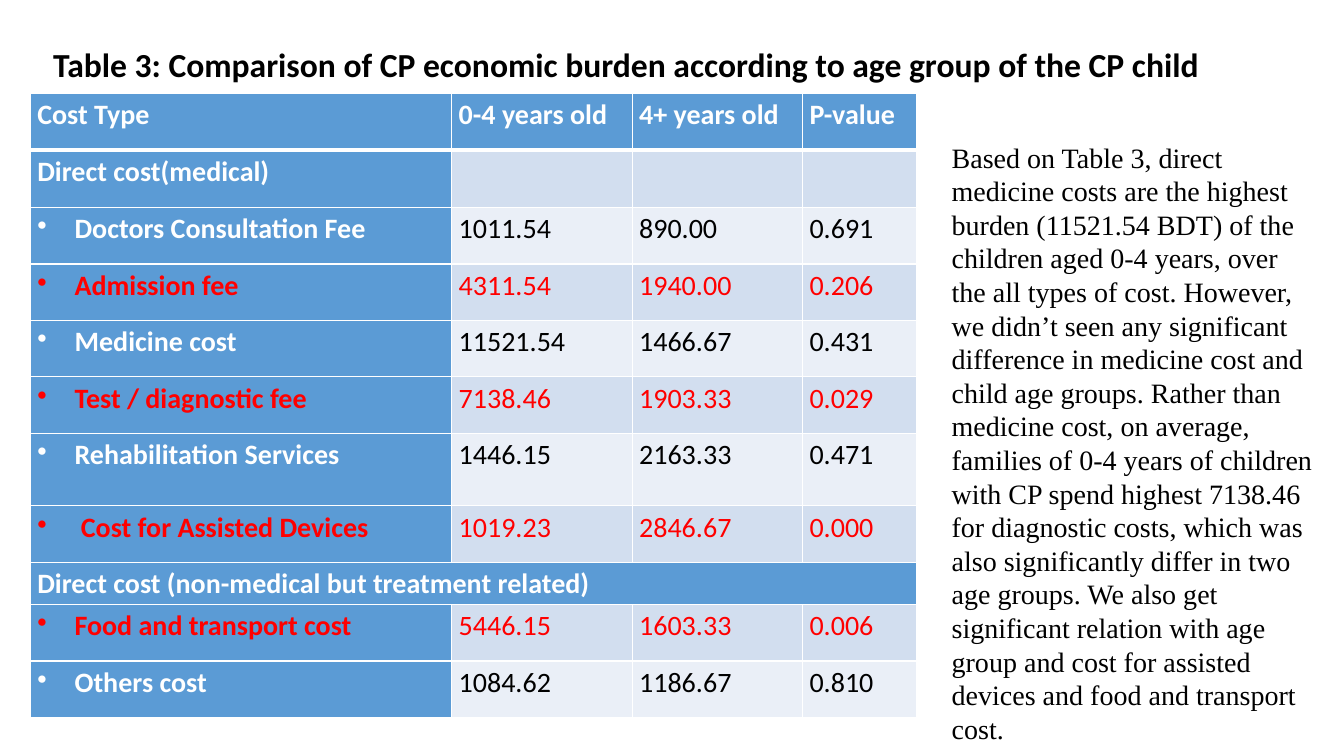
from dataclasses import dataclass

import pptx
import pptx.dml.color
import pptx.enum.text
import pptx.oxml
import pptx.oxml.ns
import pptx.util
from pptx.util import Inches


@dataclass(frozen=True)
class Theme:
    black: str = "000000"
    white: str = "FFFFFF"
    red: str = "FF0000"
    blue: str = "5B9BD5"
    dark_band: str = "D2DEEF"
    light_band: str = "EAEFF7"
    sans: str = "Calibri"
    serif: str = "Times New Roman"
    title_size: int = 24
    body_size: int = 20


THEME = Theme()

TITLE = "Table 3: Comparison of CP economic burden according to age group of the CP child"
COMMENTARY = (
    "Based on Table 3, direct medicine costs are the highest burden (11521.54 BDT) of the "
    "children aged 0-4 years, over the all types of cost. However, we didn’t seen any "
    "significant difference in medicine cost and child age groups. Rather than medicine cost, "
    "on average, families of 0-4 years of children with CP spend highest 7138.46 for "
    "diagnostic costs, which was also significantly differ in two age groups. We also get "
    "significant relation with age group and cost for assisted devices and food and "
    "transport cost."
)

COST_ROWS = [
    ("Cost Type", "0-4 years old", "4+ years old", "P-value"),
    ("Direct cost(medical)", "", "", ""),
    ("Doctors Consultation Fee", "1011.54", "890.00", "0.691"),
    ("Admission fee", "4311.54", "1940.00", "0.206"),
    ("Medicine cost", "11521.54", "1466.67", "0.431"),
    ("Test / diagnostic fee", "7138.46", "1903.33", "0.029"),
    ("Rehabilitation Services", "1446.15", "2163.33", "0.471"),
    (" Cost for Assisted Devices", "1019.23", "2846.67", "0.000"),
    ("Direct cost (non-medical but treatment related)", "", "", ""),
    ("Food and transport cost", "5446.15", "1603.33", "0.006"),
    ("Others cost", "1084.62", "1186.67", "0.810"),
]
SECTION_ROWS = {1, 8}
MERGED_ROW = 8
RED_ROWS = {3, 5, 7, 9}
COLUMN_WIDTHS = (4.18, 1.79, 1.69, 1.13)
ROW_HEIGHT = 0.56
SPECIAL_HEIGHTS = {1: 0.57, 6: 0.72, 8: 0.42}


def rgb(color):
    return pptx.dml.color.RGBColor.from_string(color)


def style_font(font, name, size, color, bold=False):
    font.name = name
    font.size = pptx.util.Pt(size)
    font.color.rgb = rgb(color)
    font.bold = bold


def add_text(page, area, text, name, size, bold=False):
    box = page.shapes.add_textbox(*(Inches(length) for length in area))
    box.text_frame.word_wrap = True
    box.text_frame.text = text
    for span in box.text_frame.paragraphs[0].runs:
        style_font(span.font, name, size, THEME.black, bold)


def set_borders(cell, top=1, bottom=1):
    """Draw white cell edges with the given widths in points."""
    properties = cell._tc.get_or_add_tcPr()
    for side, width in (("L", 1), ("R", 1), ("T", top), ("B", bottom)):
        properties.append(pptx.oxml.parse_xml(
            f'<a:ln{side} {pptx.oxml.ns.nsdecls("a")} w="{pptx.util.Pt(width)}">'
            f'<a:solidFill><a:srgbClr val="{THEME.white}"/></a:solidFill></a:ln{side}>'))


def set_indent(para, bulleted):
    properties = para._p.get_or_add_pPr()
    left, first = (0.37, -0.38) if bulleted else (0, -0.01)
    properties.set("marL", str(Inches(left)))
    properties.set("indent", str(Inches(first)))
    bullet = '<a:buChar {} char="•"/>' if bulleted else "<a:buNone {}/>"
    properties.append(pptx.oxml.parse_xml(bullet.format(pptx.oxml.ns.nsdecls("a"))))


def fill_cell(cell, text, row, column):
    is_label = row == 0 or column == 0
    set_borders(cell, top=3 if row == 1 else 1, bottom=3 if row == 0 else 1)
    band = THEME.dark_band if row % 2 else THEME.light_band
    cell.fill.solid()
    cell.fill.fore_color.rgb = rgb(THEME.blue if is_label else band)
    cell.margin_left = cell.margin_right = Inches(0.07)
    cell.margin_top = cell.margin_bottom = 0

    cell.text_frame.text = text
    para = cell.text_frame.paragraphs[0]
    set_indent(para, column == 0 and row > 0 and row not in SECTION_ROWS)
    para.alignment = pptx.enum.text.PP_ALIGN.JUSTIFY
    para.line_spacing = 1.13
    para.space_after = pptx.util.Pt(13.8)
    if row in RED_ROWS:
        color = THEME.red
    else:
        color = THEME.white if is_label else THEME.black
    for font in [para.font] + [span.font for span in para.runs]:
        style_font(font, THEME.sans, THEME.body_size, color, is_label)


def add_cost_table(page, left, top):
    heights = [SPECIAL_HEIGHTS.get(row, ROW_HEIGHT) for row in range(len(COST_ROWS))]
    table = page.shapes.add_table(
        len(COST_ROWS), len(COLUMN_WIDTHS), Inches(left), Inches(top),
        Inches(sum(COLUMN_WIDTHS)), Inches(sum(heights))).table
    for column, width in enumerate(COLUMN_WIDTHS):
        table.columns[column].width = Inches(width)
    for row, texts in enumerate(COST_ROWS):
        table.rows[row].height = Inches(heights[row])
        for column, text in enumerate(texts):
            fill_cell(table.cell(row, column), text, row, column)
    last_column = len(COLUMN_WIDTHS) - 1
    table.cell(MERGED_ROW, 0).merge(table.cell(MERGED_ROW, last_column))


def main():
    deck = pptx.Presentation()
    deck.slide_width = Inches(13.33)
    deck.slide_height = Inches(7.5)
    page = deck.slides.add_slide(deck.slide_layouts[6])
    add_text(page, (0.43, 0.39, 12.33, 0.5), TITLE, THEME.sans, THEME.title_size, bold=True)
    add_cost_table(page, 0.3, 0.93)
    add_text(page, (9.34, 1.34, 3.78, 6.16), COMMENTARY, THEME.serif, THEME.body_size)
    deck.save("out.pptx")


if __name__ == "__main__":
    main()
